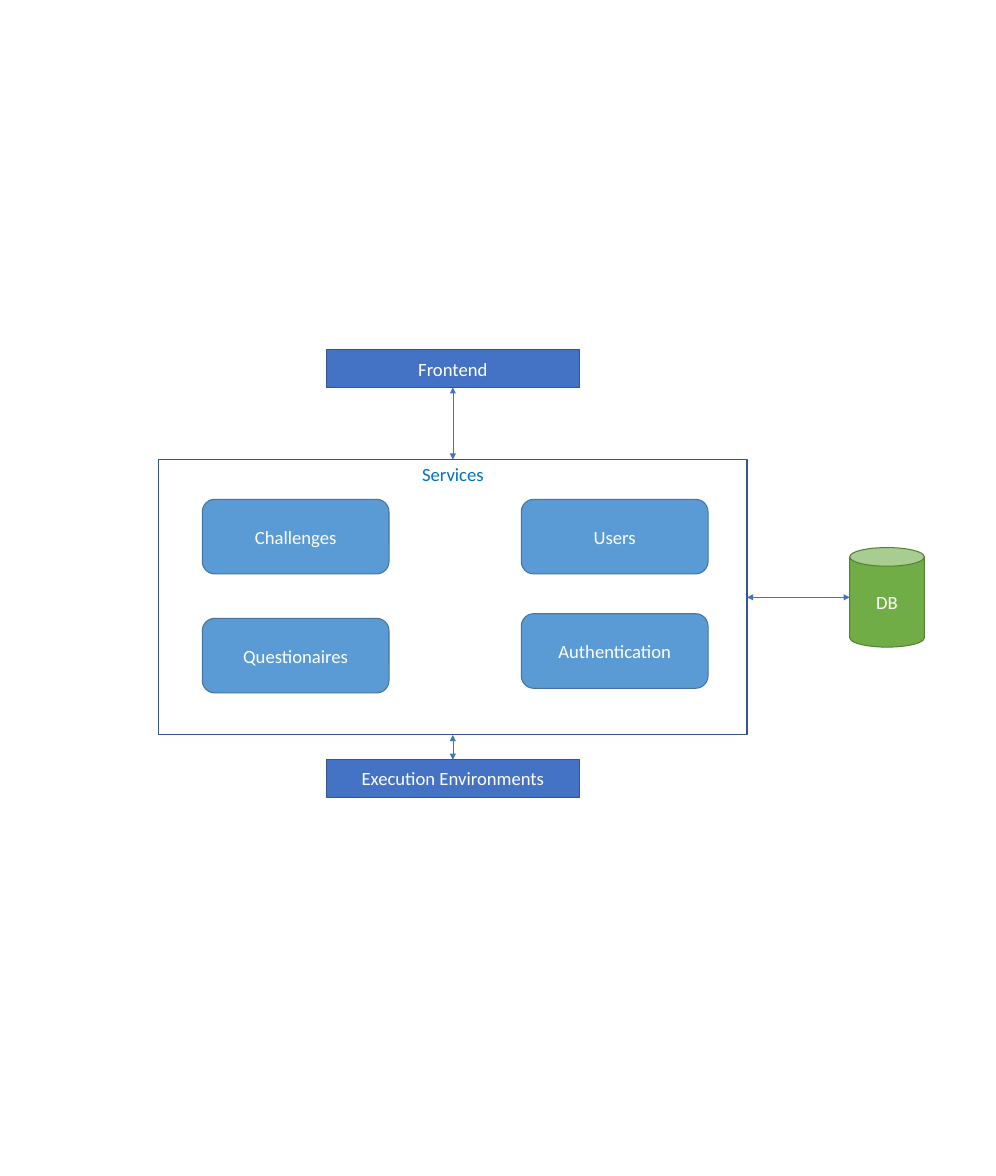
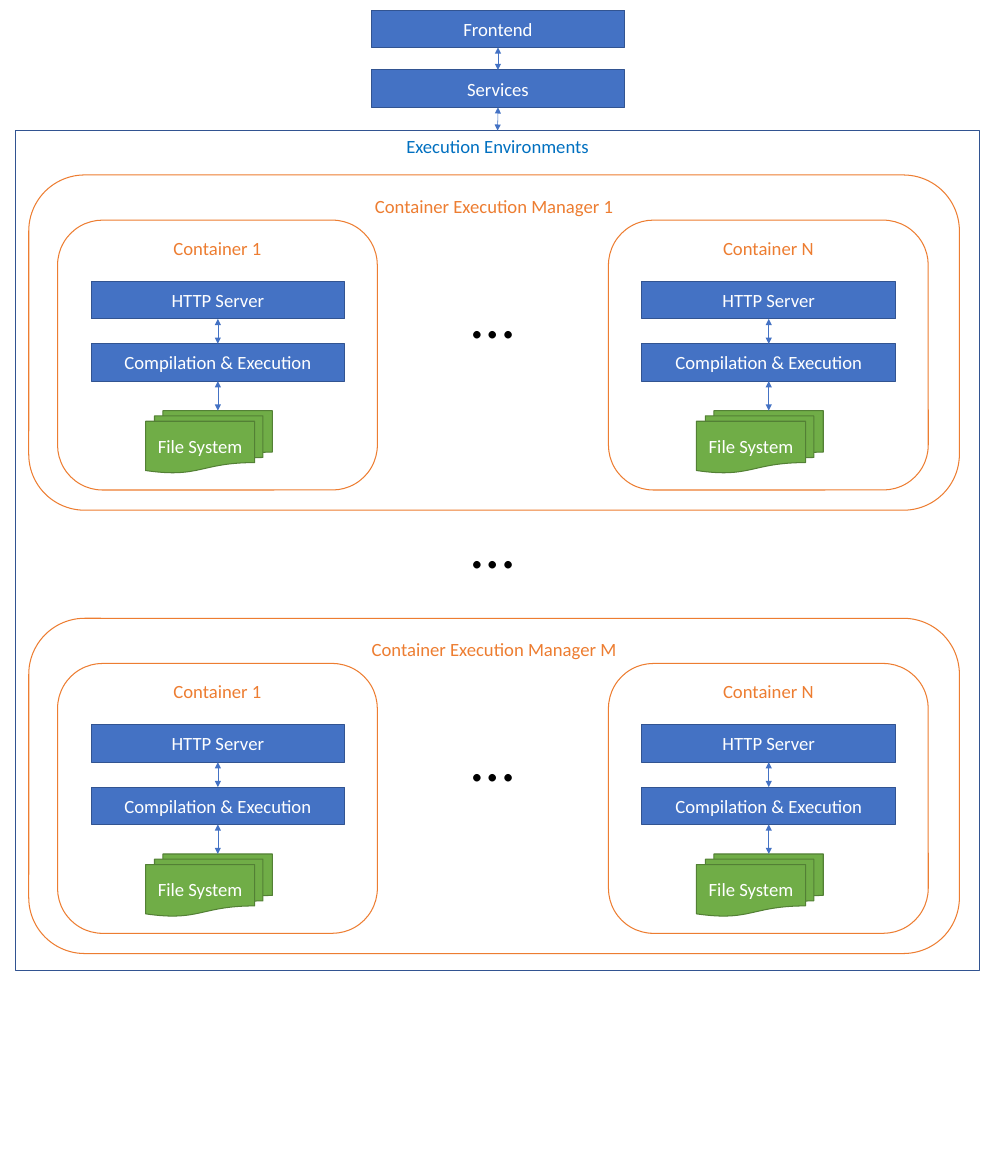
from lxml.etree import SubElement
from pptx import Presentation
from pptx.dml.color import RGBColor
from pptx.enum.shapes import MSO_CONNECTOR, MSO_SHAPE as Shape
from pptx.enum.text import MSO_ANCHOR as Anchor, MSO_AUTO_SIZE as AutoSize, PP_ALIGN as Align
from pptx.oxml.ns import qn
from pptx.util import Pt

PX = 9525
FONT = "Calibri"
COLORS = {
    "blue": "4472C4", "blue_edge": "325491", "heading": "0070C0",
    "sky": "5B9BD5", "sky_edge": "43739E",
    "green": "70AD47", "green_edge": "538035",
    "orange": "ED7D31", "white": "FFFFFF", "black": "000000",
}
TOP, LEFT, BOTTOM, RIGHT = range(4)
BAR_WIDTH, BAR_HEIGHT = 326, 48


def color(name):
    """Return the named colour."""
    return RGBColor.from_string(COLORS[name])


def px(*lengths):
    """Turn px lengths into EMU."""
    return [length * PX for length in lengths]


def write(frame, text, size, ink, align):
    """Write one formatted paragraph into a text frame."""
    frame.text = text
    para = frame.paragraphs[0]
    para.alignment = align
    span = para.runs[0]
    span.font.name = FONT
    span.font.size = Pt(size)
    span.font.color.rgb = color(ink)


def add_box(slide, kind, box, text, fill, edge, ink="white", anchor=Anchor.MIDDLE):
    """Add a labelled shape, hollow when fill is None."""
    shape = slide.shapes.add_shape(kind, *px(*box))
    shape.shadow.inherit = False
    if fill:
        shape.fill.solid()
        shape.fill.fore_color.rgb = color(fill)
    else:
        shape.fill.background()
    shape.line.color.rgb = color(edge)
    shape.line.width = Pt(1)
    shape.text_frame.vertical_anchor = anchor
    write(shape.text_frame, text, 18, ink, Align.CENTER)
    return shape


def add_bar(slide, left, top, text):
    """Add a blue component bar."""
    box = (left, top, BAR_WIDTH, BAR_HEIGHT)
    return add_box(slide, Shape.RECTANGLE, box, text, "blue", "blue_edge")


def add_frame(slide, box, text):
    """Add a hollow blue frame with its heading at the top."""
    return add_box(slide, Shape.RECTANGLE, box, text, None, "blue_edge", "heading", Anchor.TOP)


def add_group(slide, box, text):
    """Add a hollow rounded orange group with its heading at the top."""
    return add_box(slide, Shape.ROUNDED_RECTANGLE, box, text, None, "orange", "orange", Anchor.TOP)


def add_dots(slide, left, top):
    """Add a large ellipsis."""
    dots = slide.shapes.add_textbox(*px(left, top, 75, 107))
    dots.text_frame.word_wrap = False
    dots.text_frame.auto_size = AutoSize.SHAPE_TO_FIT_TEXT
    write(dots.text_frame, "…", 60, "black", Align.LEFT)


def add_link(slide, start, side, end=None, end_side=TOP, point=(0, 0)):
    """Add a two-headed arrow from a shape's side to another shape or a point."""
    link = slide.shapes.add_connector(MSO_CONNECTOR.STRAIGHT, 0, 0, *px(*point))
    link.begin_connect(start, side)
    if end is not None:
        link.end_connect(end, end_side)
    link.line.color.rgb = color("blue")
    link.line.width = Pt(0.5)
    properties = link.element.spPr
    outline = properties.find(qn("a:ln"))
    for tip in ("a:headEnd", "a:tailEnd"):
        SubElement(outline, qn(tip), type="triangle")
    SubElement(properties, qn("a:effectLst"))


def add_services(slide, box):
    """Add the services frame with its four services."""
    left, top = box[:2]
    frame = add_frame(slide, box, "Services")
    for text, x, y in (
        ("Challenges", 56, 51), ("Questionaires", 56, 204),
        ("Users", 466, 51), ("Authentication", 466, 198),
    ):
        place = (left + x, top + y, 240, 96)
        add_box(slide, Shape.ROUNDED_RECTANGLE, place, text, "sky", "sky_edge")
    return frame


def add_container(slide, box, text):
    """Add a container with its server, compiler and file system."""
    left, top = box[:2]
    add_group(slide, box, text)
    server = add_bar(slide, left + 43, top + 79, "HTTP Server")
    compiler = add_bar(slide, left + 43, top + 159, "Compilation & Execution")
    files = (left + 113, top + 245, 163, 80)
    add_box(slide, Shape.FLOWCHART_MULTIDOCUMENT, files, "File System", "green", "green_edge")
    add_link(slide, server, BOTTOM, compiler)
    add_link(slide, compiler, BOTTOM, point=(files[0] + 93, files[1]))


def add_manager(slide, box, text):
    """Add an execution manager with its first and last container."""
    left, top = box[:2]
    add_group(slide, box, text)
    for name, x in (("Container 1", 37), ("Container N", 745)):
        add_container(slide, (left + x, top + 58, 411, 347), name)
    add_dots(slide, left + 559, top + 125)


def build_overview(slide):
    """Build the system overview slide."""
    frontend = add_bar(slide, 419, 450, "Frontend")
    services = add_services(slide, (204, 591, 756, 354))
    environments = add_bar(slide, 419, 977, "Execution Environments")
    add_link(slide, frontend, BOTTOM, services)
    add_link(slide, services, BOTTOM, environments)
    add_box(slide, Shape.CAN, (1092, 704, 96, 128), "DB", "green", "green_edge")
    add_link(slide, services, RIGHT, point=(1092, 768))


def build_environments(slide):
    """Build the execution environments slide."""
    frontend = add_bar(slide, 477, 13, "Frontend")
    services = add_bar(slide, 477, 90, "Services")
    environments = add_frame(slide, (20, 168, 1239, 1080), "Execution Environments")
    add_link(slide, frontend, BOTTOM, services)
    add_link(slide, services, BOTTOM, environments)
    for number, top in (("1", 225), ("M", 795)):
        add_manager(slide, (37, top, 1196, 431), f"Container Execution Manager {number}")
    add_dots(slide, 597, 646)


def main():
    """Build and save the deck."""
    deck = Presentation()
    deck.slide_width, deck.slide_height = px(1280, 1512)
    for build in (build_overview, build_environments):
        build(deck.slides.add_slide(deck.slide_layouts[6]))
    deck.save("out.pptx")


if __name__ == "__main__":
    main()
